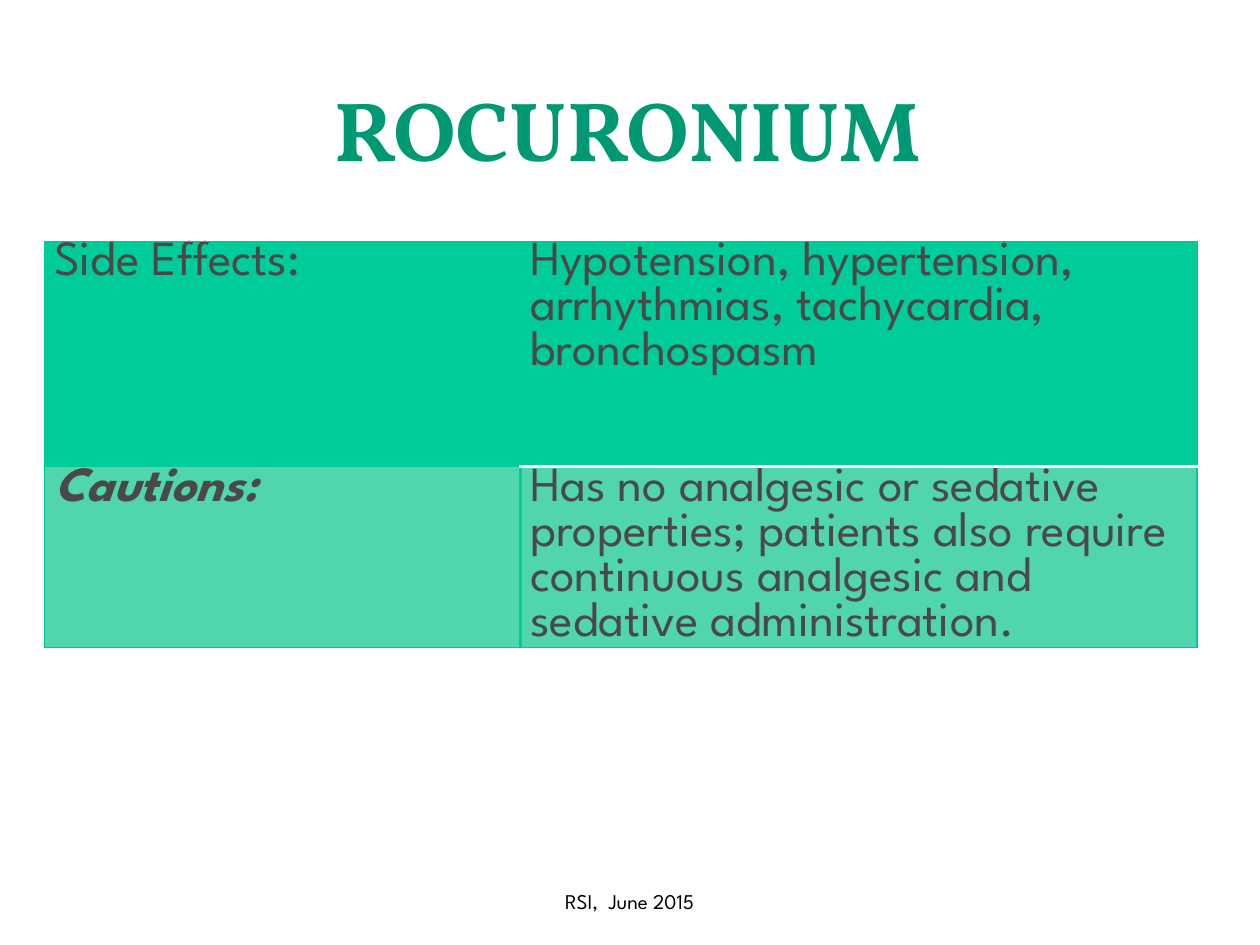
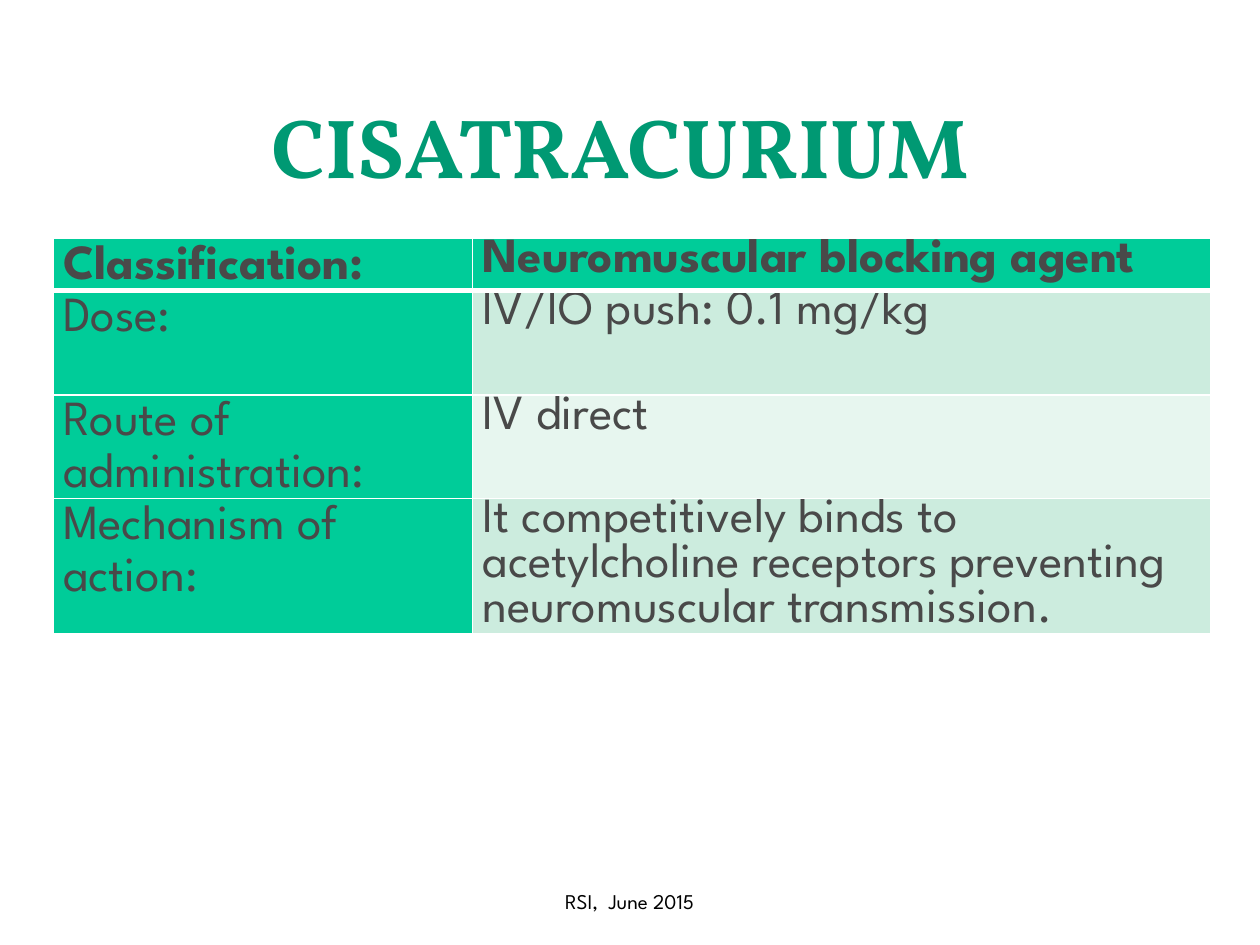
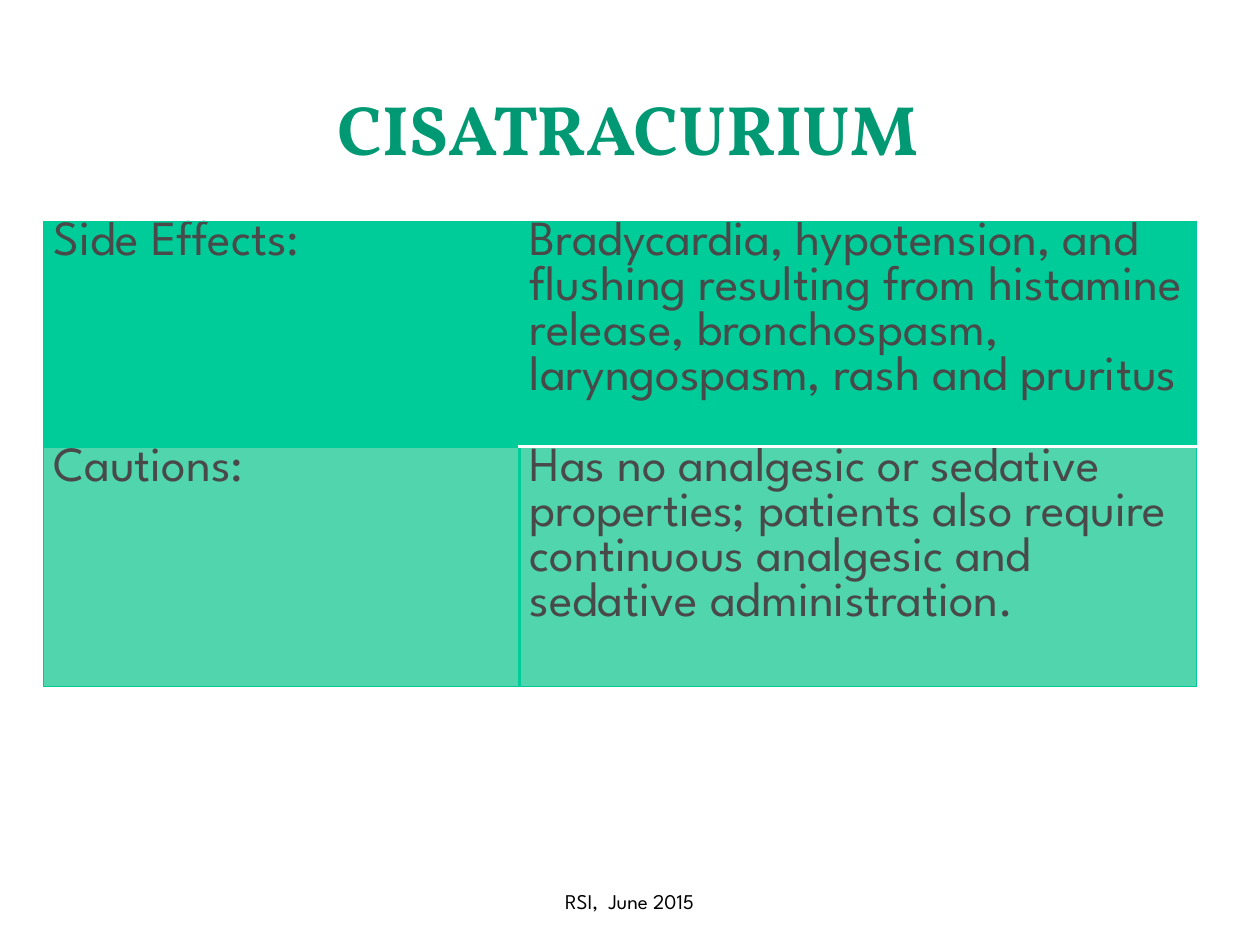
from lxml import etree
from pptx import Presentation
from pptx.dml.color import RGBColor
from pptx.enum.shapes import MSO_SHAPE
from pptx.enum.text import MSO_ANCHOR, PP_ALIGN
from pptx.oxml.ns import qn
from pptx.util import Cm, Pt

TOP = MSO_ANCHOR.TOP
MIDDLE = MSO_ANCHOR.MIDDLE
CENTER = PP_ALIGN.CENTER
RECTANGLE = MSO_SHAPE.RECTANGLE
ROUNDED = MSO_SHAPE.ROUNDED_RECTANGLE

COLORS = {
    "title": "009973",
    "text": "494949",
    "footer": "000000",
    "green": "00CC99",
    "edge": "00C896",
    "soft": "50D5AC",
    "mint": "CCECDE",
    "pale": "E7F6EF",
    "white": "FFFFFF",
}
NO_TABLE_STYLE = "{2D5ABB26-0587-4C30-8999-92F81FD0307C}"
FOOTER = "RSI,  June 2015"
FOOTER_BOX = (8.67, 17.65, 8.05, 1.02)
TITLE_BOX = (1.18, 1.12, 22.94, 2.9)
PANELS = [
    (ROUNDED, (0.25, 0.28, 24.89, 18.52), 100),
    (RECTANGLE, (0.76, 0.76, 23.88, 3.68), 83),
    (RECTANGLE, (1.04, 1.04, 23.29, 3.1), 100),
]
PANEL_ROUNDING = 0.02
CAUTION = (
    "Has no analgesic or sedative properties; patients also require "
    "continuous analgesic and sedative administration."
)

TITLE_FONT = {"name": "Vollkorn", "bold": True}
BODY_FONT = {"name": "League Spartan", "size": Pt(28)}
FOOTER_FONT = {"name": "League Spartan", "size": Pt(12)}
BOLD = {"bold": True}
BOLD_ITALIC = {"bold": True, "italic": True}
SINGLE_SPACING = Pt(25.7)
LOOSE_SPACING = Pt(29.5)

EFFECTS_GRID = {
    "widths": (9.6, 13.64),
    "fills": (("green", "green"), ("soft", "soft")),
    "label_spacing": SINGLE_SPACING,
}
DOSING_GRID = {
    "widths": (8.46, 14.88),
    "fills": (("green", "green"), ("green", "mint"), ("green", "pale"), ("green", "mint")),
    "label_spacing": LOOSE_SPACING,
}

SLIDES = [
    {
        "title": "ROCURONIUM",
        "title_size": 48,
        "grid": EFFECTS_GRID,
        "corner": (0.89, 4.86),
        "heights": (4.55, 3.64),
        "rows": [
            ("Side Effects:", "Hypotension, hypertension, arrhythmias, tachycardia, bronchospasm"),
            ("Cautions:", CAUTION),
        ],
        "formats": {(1, 0): BOLD_ITALIC},
    },
    {
        "title": "CISATRACURIUM",
        "title_size": 48,
        "title_box": (1.08, 0.97, 22.86, 2.54),
        "title_frame": {"vertical_anchor": TOP, "margin_top": Cm(0.93)},
        "grid": DOSING_GRID,
        "corner": (1.07, 4.81),
        "heights": (1.05, 2.1, 2.09, 2.73),
        "rows": [
            ("Classification:", "Neuromuscular blocking agent"),
            ("Dose:", "IV/IO push: 0.1 mg/kg"),
            ("Route of administration:", "IV direct"),
            (
                "Mechanism of action:",
                "It competitively binds to acetylcholine receptors "
                "preventing neuromuscular transmission.",
            ),
        ],
        "formats": {(0, 0): BOLD, (0, 1): BOLD},
    },
    {
        "title": "CISATRACURIUM",
        "title_size": 40,
        "grid": EFFECTS_GRID,
        "corner": (0.88, 4.46),
        "heights": (4.55, 4.83),
        "rows": [
            (
                "Side Effects:",
                "Bradycardia, hypotension, and flushing resulting from histamine "
                "release, bronchospasm, laryngospasm, rash and pruritus",
            ),
            ("Cautions:", CAUTION),
        ],
        "formats": {},
    },
]


def apply(target, values):
    for name, value in values.items():
        setattr(target, name, value)


def write(frame, text, font, color, **paragraph_format):
    para = frame.paragraphs[0]
    apply(para, paragraph_format)
    span = para.add_run()
    span.text = text
    apply(span.font, font)
    span.font.color.rgb = RGBColor.from_string(COLORS[color])


def add_label(page, place, text, font, color, frame_format):
    box = page.shapes.add_textbox(*map(Cm, place))
    apply(box.text_frame, {"word_wrap": True, "vertical_anchor": MIDDLE, **frame_format})
    write(box.text_frame, text, font, color, alignment=CENTER)


def add_panels(page):
    for preset, place, opacity in PANELS:
        panel = page.shapes.add_shape(preset, *map(Cm, place))
        panel.shadow.inherit = False
        panel.line.fill.background()
        panel.fill.solid()
        panel.fill.fore_color.rgb = RGBColor.from_string(COLORS["white"])
        if preset == ROUNDED:
            panel.adjustments[0] = PANEL_ROUNDING
        if opacity < 100:
            color = panel._element.spPr.find(qn("a:solidFill"))[0]
            etree.SubElement(color, qn("a:alpha"), val=str(opacity * 1000))


def effects_borders(row, column):
    edge = ("edge", 0.75)
    divider = ("green", 2)
    middle = ("white", 2) if column else ("green", 0.75)
    return {
        "L": divider if column else edge,
        "R": edge if column else divider,
        "T": middle if row else edge,
        "B": edge if row else middle,
    }


def dosing_borders(row, column):
    thin = ("white", 1)
    header = ("white", 3)
    return {
        "L": thin,
        "R": thin,
        "T": header if row == 1 else thin,
        "B": header if row == 0 else thin,
    }


def draw_borders(cell, borders):
    properties = cell._tc.get_or_add_tcPr()
    for side, (color, width) in borders.items():
        line = etree.SubElement(properties, qn(f"a:ln{side}"), w=str(Pt(width)))
        fill = etree.SubElement(line, qn("a:solidFill"))
        etree.SubElement(fill, qn("a:srgbClr"), val=COLORS[color])


def add_grid(page, content):
    grid = content["grid"]
    rows, widths, heights = content["rows"], grid["widths"], content["heights"]
    size = (sum(widths), sum(heights))
    frame = page.shapes.add_table(
        len(rows), len(widths), *map(Cm, content["corner"] + size)
    )
    table = frame.table
    apply(table, {"first_row": False, "horz_banding": False})
    table._tbl.tblPr.find(qn("a:tableStyleId")).text = NO_TABLE_STYLE
    for column, width in zip(table.columns, widths):
        column.width = Cm(width)
    borders = effects_borders if grid is EFFECTS_GRID else dosing_borders
    margins = {
        "margin_left": Cm(0.2),
        "margin_right": Cm(0.19),
        "margin_top": 0,
        "margin_bottom": 0,
    }
    for r, texts in enumerate(rows):
        table.rows[r].height = Cm(heights[r])
        for c, text in enumerate(texts):
            cell = table.cell(r, c)
            apply(cell, margins)
            draw_borders(cell, borders(r, c))
            cell.fill.solid()
            cell.fill.fore_color.rgb = RGBColor.from_string(COLORS[grid["fills"][r][c]])
            font = {**BODY_FONT, **content["formats"].get((r, c), {})}
            spacing = SINGLE_SPACING if c else grid["label_spacing"]
            write(cell.text_frame, text, font, "text", line_spacing=spacing)


def main():
    deck = Presentation()
    apply(deck, {"slide_width": Cm(25.4), "slide_height": Cm(19.05)})
    for content in SLIDES:
        page = deck.slides.add_slide(deck.slide_layouts[6])
        add_panels(page)
        add_label(
            page,
            content.get("title_box", TITLE_BOX),
            content["title"],
            {**TITLE_FONT, "size": Pt(content["title_size"])},
            "title",
            content.get("title_frame", {}),
        )
        add_label(page, FOOTER_BOX, FOOTER, FOOTER_FONT, "footer", {})
        add_grid(page, content)
    deck.save("out.pptx")


if __name__ == "__main__":
    main()
